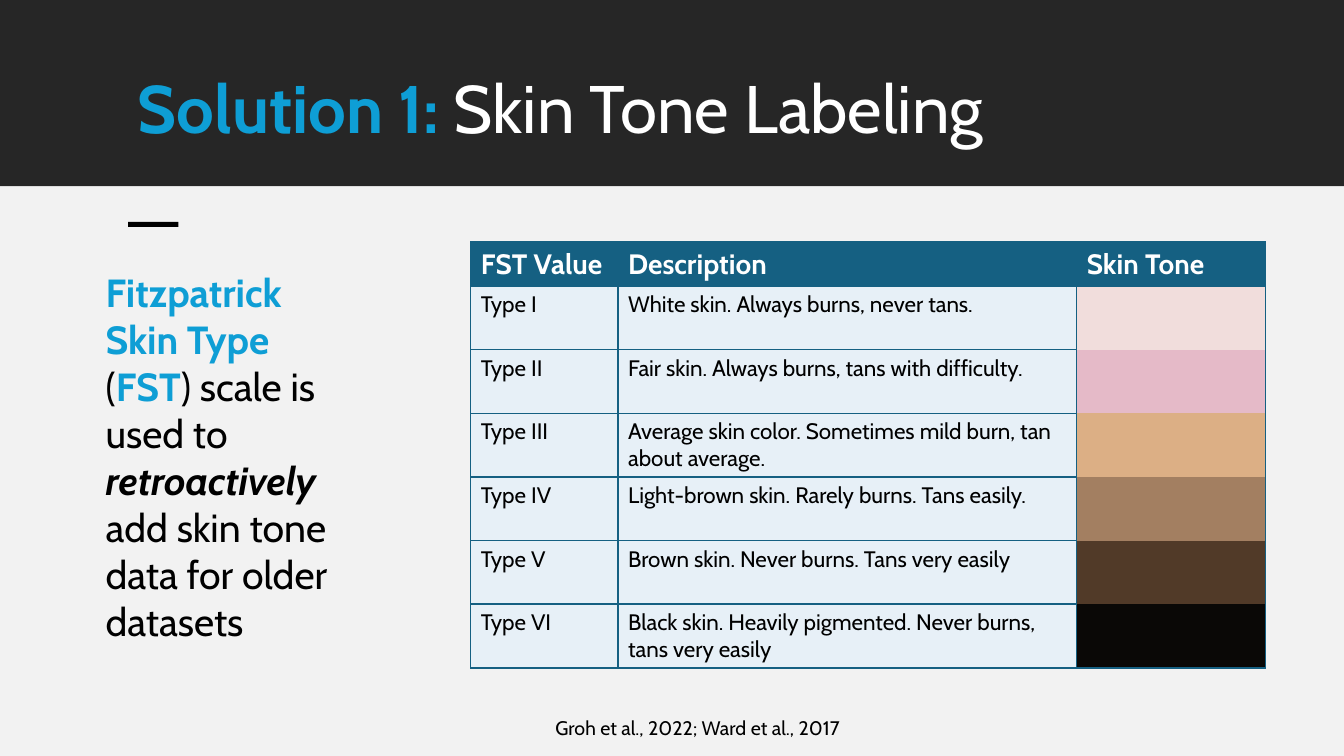
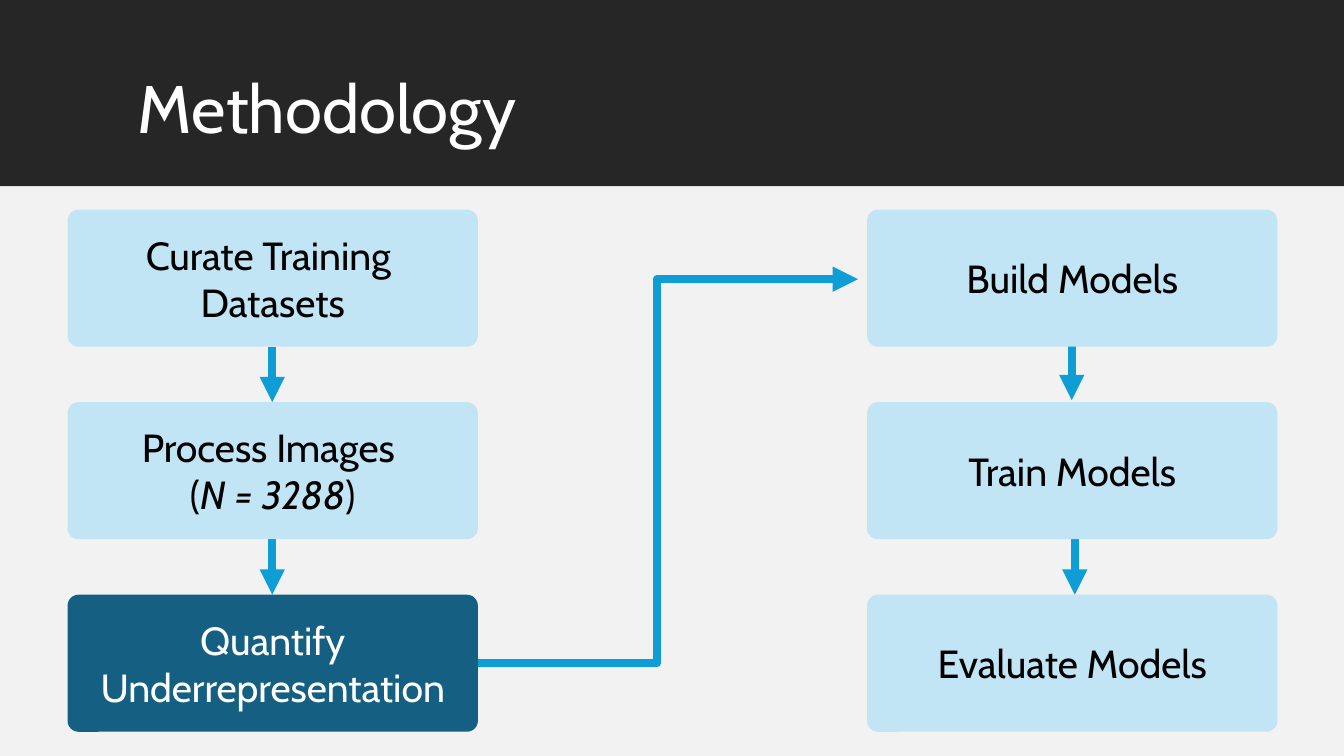
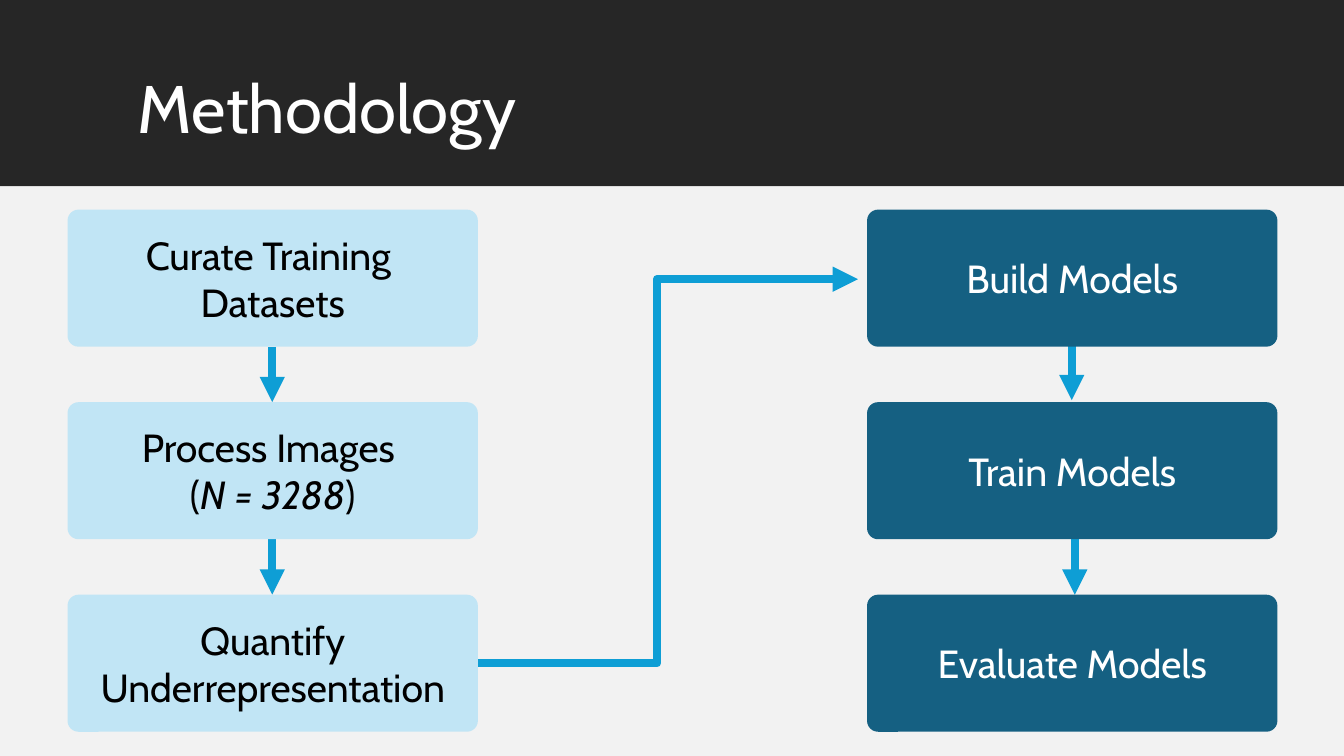
from dataclasses import dataclass

from lxml import etree
from pptx import Presentation
from pptx.dml.color import RGBColor
from pptx.enum.shapes import MSO_CONNECTOR as Connector, MSO_SHAPE as Shape
from pptx.enum.text import MSO_ANCHOR as Anchor, PP_ALIGN as Align
from pptx.oxml.ns import qn
from pptx.util import Inches, Pt


@dataclass(frozen=True)
class Theme:
    font: str = "Cabin"
    # Colours
    band: str = "262626"
    panel: str = "F2F2F2"
    accent: str = "0E9ED5"
    deep: str = "156082"
    pale: str = "C1E5F5"
    cell: str = "E7F0F7"
    black: str = "000000"
    white: str = "FFFFFF"
    # Type sizes
    title_size: int = 48
    body_size: int = 28
    header_size: int = 20
    cell_size: int = 16
    source_size: int = 14


THEME = Theme()
BOLD_ACCENT = {"bold": True, "color": THEME.accent}


class Deck:
    """Holds the style and the current slide."""

    def __init__(self, theme):
        self.theme = theme
        self.presentation = Presentation()
        self.presentation.slide_width = Inches(13.33)
        self.presentation.slide_height = Inches(7.5)
        self.slide = None

    def new_slide(self, *title_runs):
        theme = self.theme
        layout = self.presentation.slide_layouts[6]
        self.slide = self.presentation.slides.add_slide(layout)
        self.block(0, 0, 13.33, 1.85, theme.band)
        self.text(1.27, 0.7, 10.81, 0.98, [title_runs], theme.title_size,
                  theme.white, line_spacing=0.9)
        self.block(0, 1.85, 13.33, 5.65, theme.panel)

    def block(self, left, top, width, height, color, kind=Shape.RECTANGLE):
        shape = self.slide.shapes.add_shape(
            kind, Inches(left), Inches(top), Inches(width), Inches(height))
        shape.shadow.inherit = False
        shape.fill.solid()
        shape.fill.fore_color.rgb = RGBColor.from_string(color)
        shape.line.fill.background()
        return shape

    def fill_text(self, frame, paragraphs, size, color, **paragraph_format):
        """Each paragraph is a list of runs: a string, or (string, format)."""
        frame.word_wrap = True
        for index, runs in enumerate(paragraphs):
            paragraph = frame.add_paragraph() if index else frame.paragraphs[0]
            for name, value in paragraph_format.items():
                setattr(paragraph, name, value)
            for item in runs:
                content, changes = (item, {}) if isinstance(item, str) else item
                settings = {"name": self.theme.font, "size": Pt(size),
                            "bold": False, "italic": False, **changes}
                run_color = settings.pop("color", color)
                run = paragraph.add_run()
                run.text = content
                for name, value in settings.items():
                    setattr(run.font, name, value)
                run.font.color.rgb = RGBColor.from_string(run_color)

    def text(self, left, top, width, height, paragraphs, size, color,
             **paragraph_format):
        box = self.slide.shapes.add_textbox(
            Inches(left), Inches(top), Inches(width), Inches(height))
        self.fill_text(box.text_frame, paragraphs, size, color,
                       **paragraph_format)

    def step(self, left, top, width, height, paragraphs, highlighted):
        theme = self.theme
        fill, color = ((theme.deep, theme.white) if highlighted
                       else (theme.pale, theme.black))
        shape = self.block(left, top, width, height, fill,
                           Shape.ROUNDED_RECTANGLE)
        shape.adjustments[0] = 0.08
        frame = shape.text_frame
        frame.vertical_anchor = Anchor.MIDDLE
        for side in ("left", "top", "right", "bottom"):
            setattr(frame, f"margin_{side}", Inches(0.03))
        self.fill_text(frame, paragraphs, theme.body_size, color,
                       alignment=Align.CENTER)

    def arrow(self, start, end, bend=None):
        kind = Connector.STRAIGHT if bend is None else Connector.ELBOW
        points = [Inches(value) for value in (*start, *end)]
        connector = self.slide.shapes.add_connector(kind, *points)
        connector.line.width = Pt(6)
        connector.line.color.rgb = RGBColor.from_string(self.theme.accent)
        properties = connector._element.spPr
        etree.SubElement(properties.find(qn("a:ln")), qn("a:tailEnd"),
                         type="triangle")
        etree.SubElement(properties, qn("a:effectLst"))
        if bend is not None:
            guides = properties.find(f".//{qn('a:avLst')}")
            etree.SubElement(guides, qn("a:gd"), name="adj1",
                             fmla=f"val {round(bend * 100000)}")

    def border(self, cell, sides):
        """Draw the named sides (L, R, T, B) and clear the others."""
        properties = cell._tc.get_or_add_tcPr()
        for position, side in enumerate("LRTB"):
            line = etree.Element(qn(f"a:ln{side}"), w=str(Pt(1)))
            if side in sides:
                fill = etree.SubElement(line, qn("a:solidFill"))
                etree.SubElement(fill, qn("a:srgbClr"), val=self.theme.deep)
            else:
                etree.SubElement(line, qn("a:noFill"))
            properties.insert(position, line)

    def swatch_table(self, left, top, widths, heights, header, rows):
        """The last value of each row is the colour of its swatch."""
        theme = self.theme
        table = self.slide.shapes.add_table(
            len(heights), len(widths), Inches(left), Inches(top),
            Inches(sum(widths)), Inches(sum(heights))).table
        table.first_row = table.horz_banding = False
        for column, width in zip(table.columns, widths):
            column.width = Inches(width)
        for row, height in zip(table.rows, heights):
            row.height = Inches(height)
        for row_index, values in enumerate([header, *rows]):
            for column_index, value in enumerate(values):
                cell = table.cell(row_index, column_index)
                fill, sides = theme.cell, "LRTB"
                if row_index == 0:
                    fill = theme.deep
                    self.fill_text(cell.text_frame, [[(value, {"bold": True})]],
                                   theme.header_size, theme.white)
                elif column_index == len(widths) - 1:
                    fill = value
                    sides = "LR" + "T" * (row_index == 1)
                    sides += "B" * (row_index == len(rows))
                else:
                    self.fill_text(cell.text_frame, [[value]],
                                   theme.cell_size, theme.black)
                cell.fill.solid()
                cell.fill.fore_color.rgb = RGBColor.from_string(fill)
                self.border(cell, sides)


STEP_COLUMNS = [
    (0.67, [
        [["Curate Training "], ["Datasets"]],
        [["Process Images "], ["(", ("N = 3288", {"italic": True}), ")"]],
        [["Quantify Underrepresentation"]],
    ]),
    (8.6, [[["Build Models"]], [["Train Models"]], [["Evaluate Models"]]]),
]
STEP_WIDTH, STEP_HEIGHT, STEP_GAP, STEP_TOP = 4.07, 1.36, 0.55, 2.08
DOWN_ARROWS = [(2.7, 3.44), (2.7, 5.35), (10.63, 3.42), (10.66, 5.35)]


def labeling_slide(deck):
    theme = deck.theme
    deck.new_slide(("Solution 1: ", BOLD_ACCENT), "Skin Tone Labeling")
    deck.block(1.27, 2.2, 0.5, 0.05, theme.black)
    deck.text(0.95, 2.61, 2.46, 4.33, [[
        ("Fitzpatrick Skin Type ", BOLD_ACCENT), "(", ("FST", BOLD_ACCENT),
        ") scale is used to ",
        ("retroactively ", {"bold": True, "italic": True}),
        "add skin tone data for older datasets",
    ]], theme.body_size, theme.black)
    deck.text(2.68, 7.05, 8.48, 0.34, [["Groh et al., 2022; Ward et al., 2017"]],
              theme.source_size, theme.black, alignment=Align.CENTER)
    deck.swatch_table(
        4.67, 2.4, [1.46, 4.55, 1.87], [0.44] + [0.63] * 6,
        ["FST Value", "Description", "Skin Tone"],
        [
            ("Type I", "White skin. Always burns, never tans.", "F1DDDC"),
            ("Type II", "Fair skin. Always burns, tans with difficulty.",
             "E5BAC8"),
            ("Type III", "Average skin color. Sometimes mild burn, tan "
             "about average.", "DCAF85"),
            ("Type IV", "Light-brown skin. Rarely burns. Tans easily.",
             "A37F61"),
            ("Type V", "Brown skin. Never burns. Tans very easily", "513A28"),
            ("Type VI", "Black skin. Heavily pigmented. Never burns, "
             "tans very easily", "0A0806"),
        ])


def methodology_slide(deck, highlighted):
    """Highlighted holds (column, row) pairs of the steps to stress."""
    deck.new_slide("Methodology")
    # Arrows lie behind the steps
    deck.arrow((4.58, 6.58), (8.51, 2.77), bend=0.493)
    for x, y in DOWN_ARROWS:
        deck.arrow((x, y), (x, y + STEP_GAP))
    # Steps
    for column, (left, steps) in enumerate(STEP_COLUMNS):
        for row, paragraphs in enumerate(steps):
            top = STEP_TOP + row * (STEP_HEIGHT + STEP_GAP)
            deck.step(left, top, STEP_WIDTH, STEP_HEIGHT, paragraphs,
                      (column, row) in highlighted)


def main():
    deck = Deck(THEME)
    labeling_slide(deck)
    methodology_slide(deck, {(0, 2)})
    methodology_slide(deck, {(1, 0), (1, 1), (1, 2)})
    deck.presentation.save("out.pptx")


if __name__ == "__main__":
    main()
